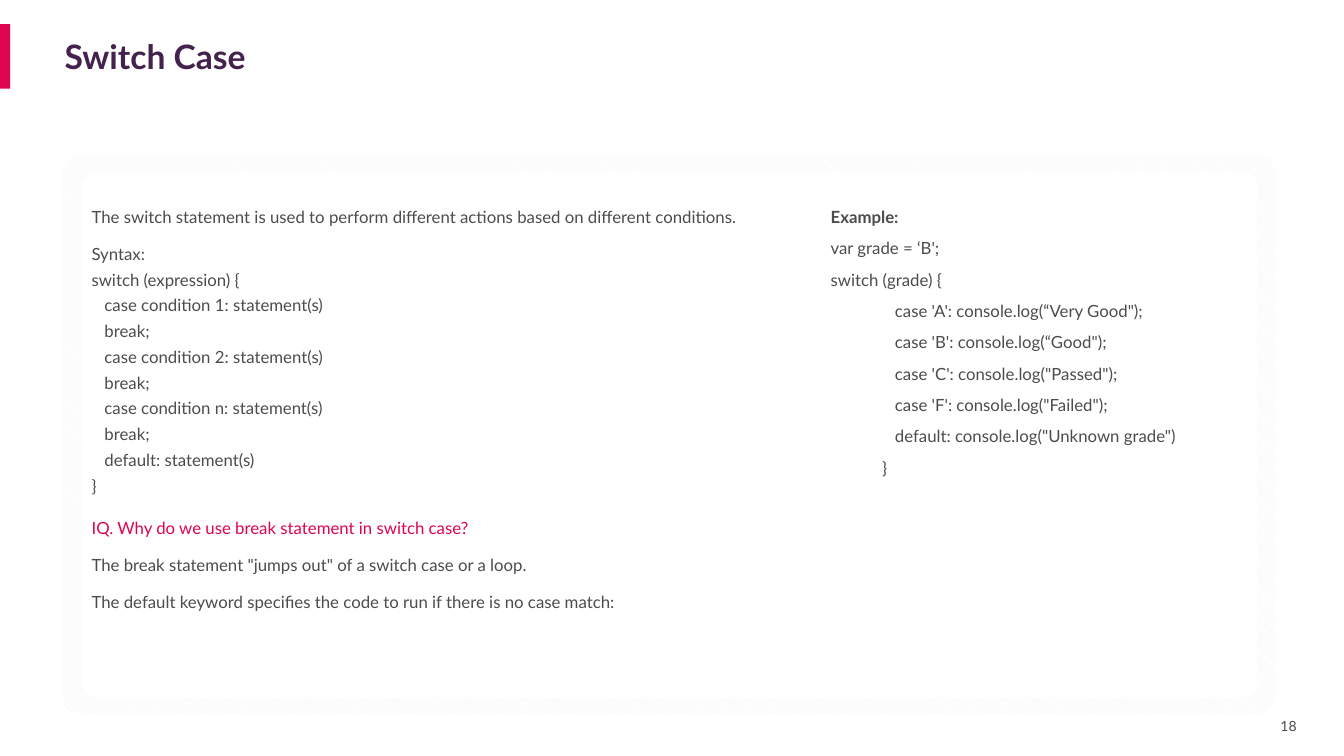
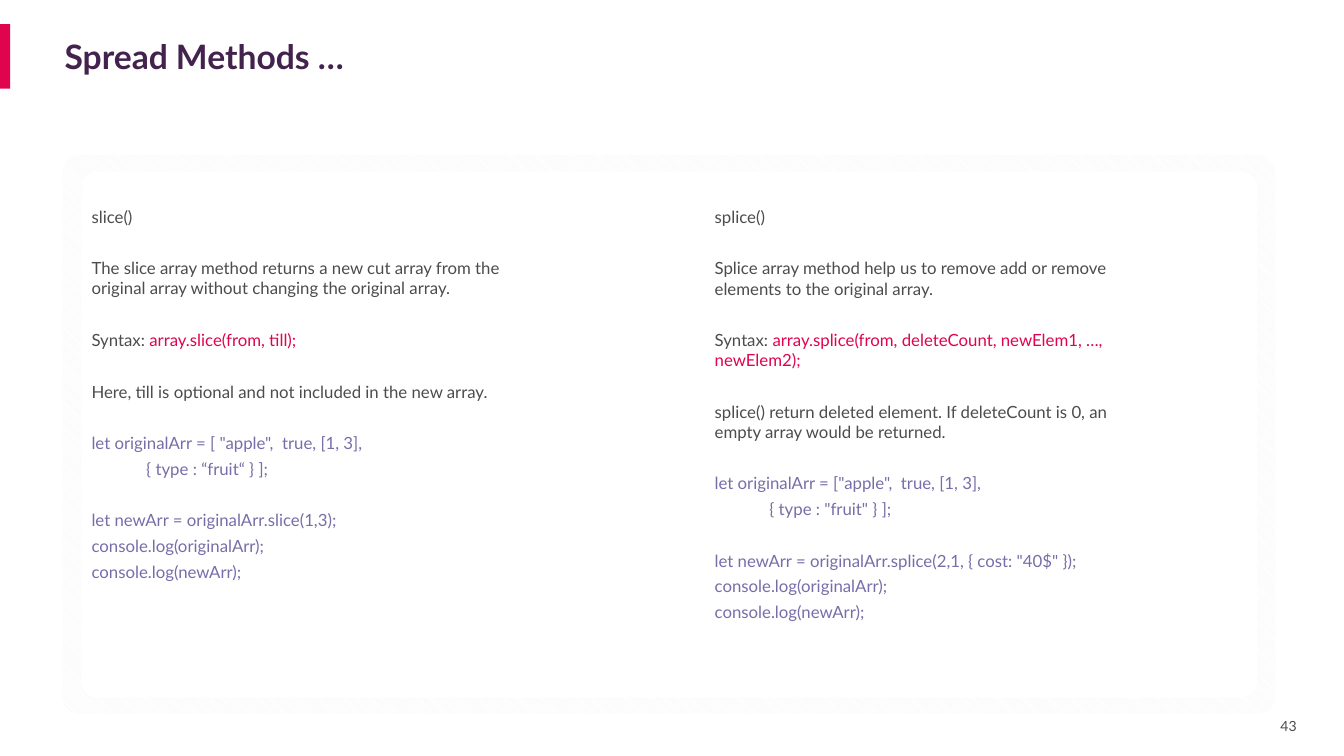
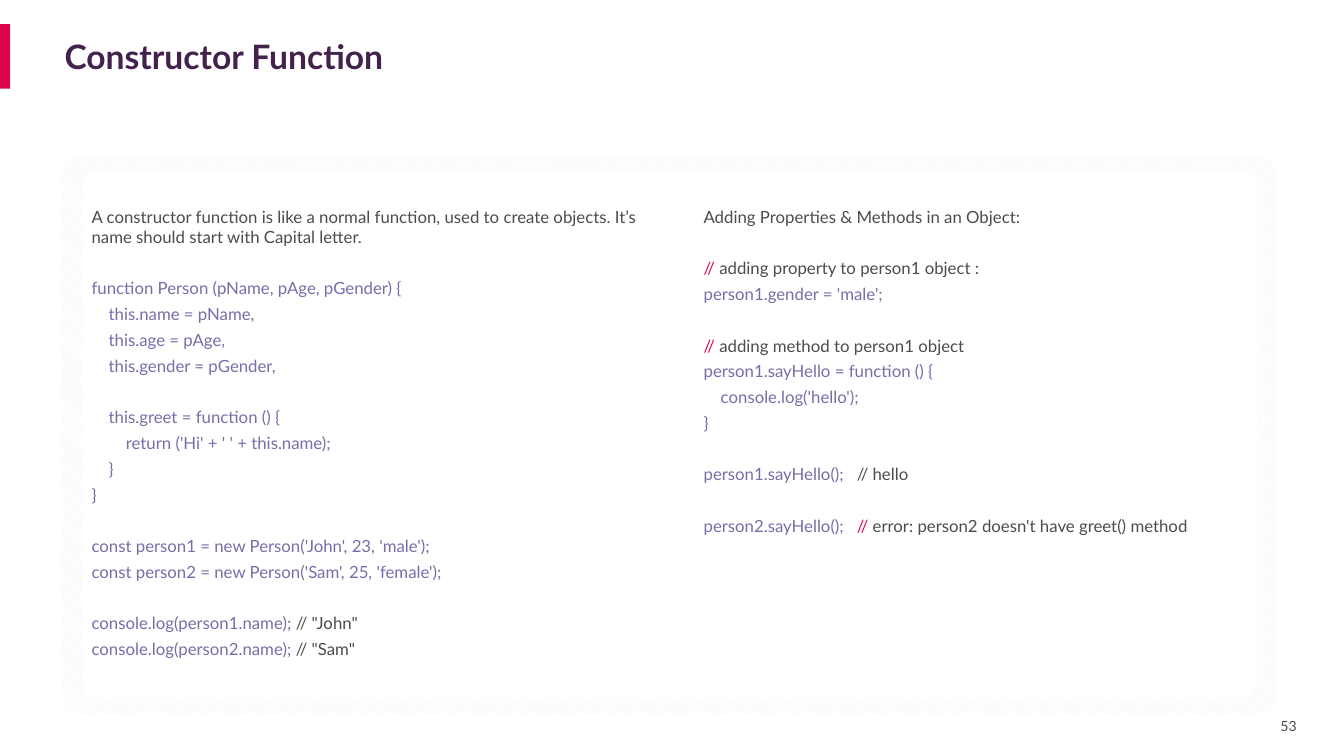
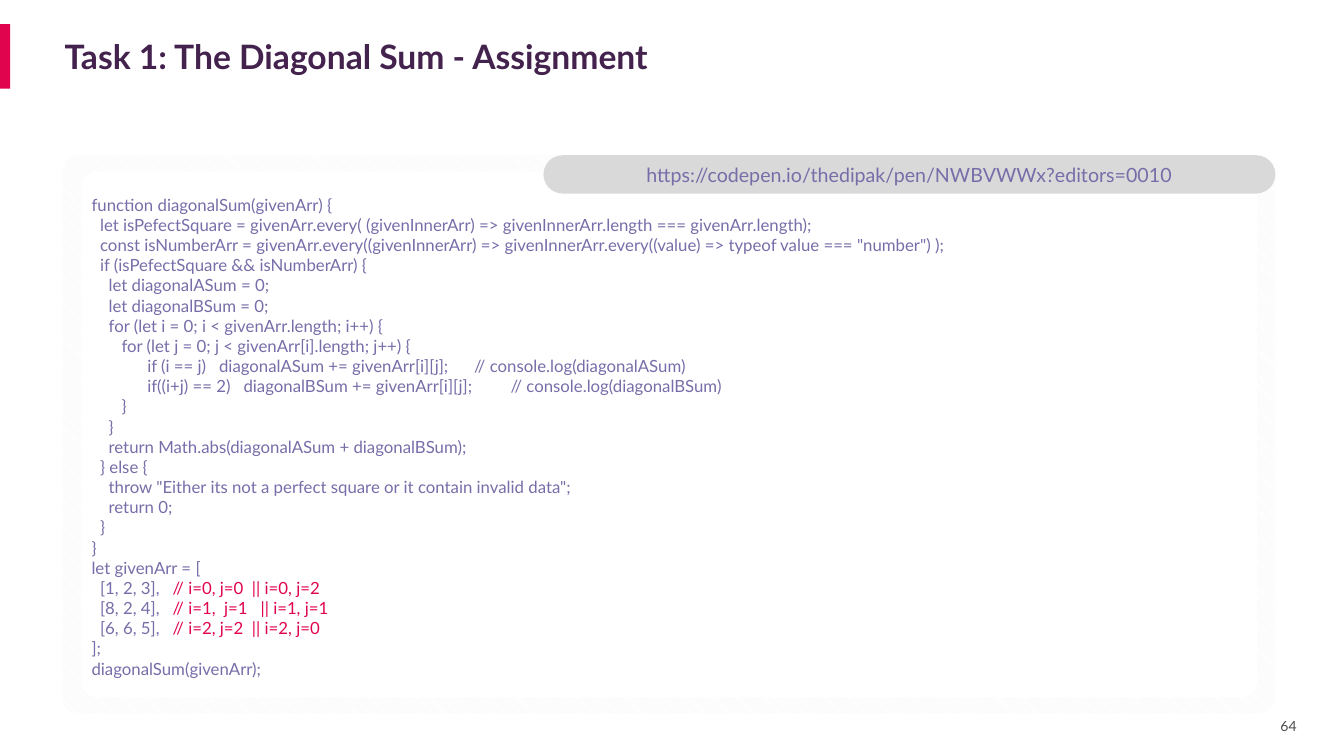
"""Build four JavaScript lesson slides with a shared title and panel style."""
from dataclasses import dataclass

from pptx import Presentation
from pptx.dml.color import RGBColor
from pptx.enum.dml import MSO_PATTERN
from pptx.enum.shapes import MSO_SHAPE
from pptx.enum.text import MSO_ANCHOR, MSO_AUTO_SIZE, PP_ALIGN
from pptx.util import Inches, Pt

RECTANGLE = MSO_SHAPE.RECTANGLE
ROUNDED = MSO_SHAPE.ROUNDED_RECTANGLE
DIAGONAL = MSO_PATTERN.LIGHT_DOWNWARD_DIAGONAL
MIDDLE = MSO_ANCHOR.MIDDLE
TOP = MSO_ANCHOR.TOP
LEFT = PP_ALIGN.LEFT
CENTER = PP_ALIGN.CENTER
GROW = MSO_AUTO_SIZE.SHAPE_TO_FIT_TEXT

FONT = "Lato"
COLORS = {
    "accent": "E0044E",
    "title": "43224D",
    "body": "4C4C4D",
    "code": "776EA9",
    "hatch": "F2F2F2",
    "panel": "FFFFFF",
    "pill": "D9D9D9",
}
LINE_GAP = 4
SECTION_GAP = 22.4


@dataclass
class Span:
    """A piece of a line with its own colour and weight."""
    text: str
    color: str = "body"
    bold: bool = False


@dataclass
class Block:
    """Lines in one default colour, with the gap above and between them."""
    lines: list
    color: str = "body"
    before: float = SECTION_GAP
    between: float = LINE_GAP


def rgb(name):
    """Return a palette colour."""
    return RGBColor.from_string(COLORS[name])


def add_span(para, span, size):
    """Append one formatted run to a paragraph."""
    run = para.add_run()
    run.text = span.text
    run.font.name = FONT
    run.font.size = Pt(size)
    run.font.bold = span.bold
    run.font.color.rgb = rgb(span.color)


def add_panel(page, at, fill, kind=ROUNDED, radius=0.03):
    """Draw a borderless flat shape."""
    panel = page.shapes.add_shape(kind, *map(Inches, at))
    panel.shadow.inherit = False
    panel.line.fill.background()
    panel.fill.solid()
    panel.fill.fore_color.rgb = rgb(fill)
    if kind == ROUNDED:
        panel.adjustments[0] = radius
    return panel


def write_label(shape, span, size, align=LEFT):
    """Write one vertically centred line in a shape."""
    frame = shape.text_frame
    frame.word_wrap = True
    frame.vertical_anchor = MIDDLE
    para = frame.paragraphs[0]
    para.alignment = align
    add_span(para, span, size)


def add_text(page, at, blocks, insets=(0.1, 0.05, 0.1, 0.05)):
    """Add a text box made of blocks of lines."""
    box = page.shapes.add_textbox(*map(Inches, at))
    frame = box.text_frame
    frame.word_wrap = True
    frame.auto_size = GROW
    frame.vertical_anchor = TOP
    (frame.margin_left, frame.margin_top,
     frame.margin_right, frame.margin_bottom) = map(Inches, insets)
    for block_index, block in enumerate(blocks):
        for line_index, line in enumerate(block.lines):
            if block_index == line_index == 0:
                para = frame.paragraphs[0]
            else:
                para = frame.add_paragraph()
                para.space_before = Pt(block.between if line_index else block.before)
            spans = [Span(line, block.color)] if isinstance(line, str) else line
            for span in spans:
                add_span(para, span, 12)


def add_page(deck, title, number):
    """Add a slide with accent bar, number, title and framed panel."""
    page = deck.slides.add_slide(deck.slide_layouts[6])
    add_panel(page, (0, 0.24, 0.1, 0.64), "accent", RECTANGLE)
    number_box = page.shapes.add_textbox(*map(Inches, (12.57, 7.08, 0.42, 0.25)))
    write_label(number_box, Span(str(number)), 10, CENTER)
    title_box = page.shapes.add_textbox(*map(Inches, (0.64, 0.24, 12.01, 0.64)))
    title_box.text_frame.margin_left = title_box.text_frame.margin_right = 0
    write_label(title_box, Span(title, "title", True), 24)
    frame = add_panel(page, (0.62, 1.54, 12.03, 5.54), "panel")
    frame.fill.patterned()
    frame.fill.pattern = DIAGONAL
    frame.fill.fore_color.rgb = rgb("hatch")
    frame.fill.back_color.rgb = rgb("panel")
    add_panel(page, (0.81, 1.7, 11.66, 5.22), "panel")
    return page


def build_switch(deck):
    """Build the switch case slide."""
    page = add_page(deck, "Switch Case", 18)
    add_text(page, (0.81, 2, 6.72, 4.16), [
        Block(["The switch statement is used to perform different actions based on different conditions."]),
        Block([
            "Syntax:",
            "switch (expression) {",
            "   case condition 1: statement(s)",
            "   break;",
            "   case condition 2: statement(s)",
            "   break;",
            "   case condition n: statement(s)",
            "   break;",
            "   default: statement(s)",
            "}",
        ], before=12),
        Block(["IQ. Why do we use break statement in switch case?"], "accent", before=16),
        Block([
            "The break statement \"jumps out\" of a switch case or a loop.",
            "The default keyword specifies the code to run if there is no case match:",
        ], before=12, between=12),
    ])
    add_text(page, (8.14, 2, 4.33, 2.82), [Block([
        [Span("Example:", bold=True)],
        "var grade = ‘B';",
        "switch (grade) {",
        "               case 'A': console.log(“Very Good\");",
        "               case 'B': console.log(“Good\");",
        "               case 'C': console.log(\"Passed\");",
        "               case 'F': console.log(\"Failed\");",
        "               default: console.log(\"Unknown grade\")",
        "            }",
    ], between=8)])


def method_blocks(name, summary, syntax, note, array_lines, call):
    """Return the description and sample code of an array method."""
    return [
        Block([name, summary, [Span("Syntax: "), Span(syntax, "accent")], note],
              between=SECTION_GAP),
        Block(array_lines, "code"),
        Block([call, "console.log(originalArr);", "console.log(newArr);"], "code"),
    ]


def build_spread(deck):
    """Build the slice and splice slide."""
    page = add_page(deck, "Spread Methods …", 43)
    add_text(page, (0.81, 2, 4.3, 3.86), method_blocks(
        "slice()",
        "The slice array method returns a new cut array from the original array without changing the original array.",
        "array.slice(from, till);",
        "Here, till is optional and not included in the new array.",
        ["let originalArr = [ \"apple\",  true, [1, 3],", "  \t { type : “fruit“ } ];"],
        "let newArr = originalArr.slice(1,3);",
    ))
    add_text(page, (6.99, 2, 4.3, 4.52), method_blocks(
        "splice()",
        "Splice array method help us to remove add or remove elements to the original array.",
        "array.splice(from, deleteCount, newElem1, …, newElem2);",
        "splice() return deleted element. If deleteCount is 0, an empty array would be returned.",
        ["let originalArr = [\"apple\",  true, [1, 3],", "  \t { type : \"fruit\" } ];"],
        "let newArr = originalArr.splice(2,1, { cost: \"40$\" });",
    ))


def build_constructor(deck):
    """Build the constructor function slide."""
    page = add_page(deck, "Constructor Function", 53)
    add_text(page, (0.81, 2, 5.65, 4.63), [
        Block(["A constructor function is like a normal function, used to create objects. "
               "It’s name should start with Capital letter."]),
        Block([
            "function Person (pName, pAge, pGender) {",
            "    this.name = pName,",
            "    this.age = pAge,",
            "    this.gender = pGender,",
        ], "code"),
        Block([
            "    this.greet = function () {",
            "        return ('Hi' + ' ' + this.name);",
            "    }",
            "}",
        ], "code"),
        Block([
            "const person1 = new Person('John', 23, 'male');",
            "const person2 = new Person('Sam', 25, 'female');",
        ], "code"),
        Block([
            [Span("console.log(person1.name); ", "code"), Span("// \"John\"")],
            [Span("console.log(person2.name); ", "code"), Span("// \"Sam\"")],
        ]),
    ])
    slashes = Span("//", "accent")
    add_text(page, (6.88, 2, 5.65, 3.4), [
        Block(["Adding Properties & Methods in an Object:"]),
        Block([
            [slashes, Span(" adding property to person1 object :")],
            "person1.gender = 'male';",
        ], "code"),
        Block([
            [slashes, Span(" adding method to person1 object")],
            "person1.sayHello = function () {",
            "    console.log('hello');",
            "}",
        ], "code"),
        Block([[Span("person1.sayHello();   ", "code"), Span("// hello")]]),
        Block([[Span("person2.sayHello();   ", "code"), slashes,
                Span(" error: person2 doesn't have greet() method")]]),
    ])


def build_diagonal(deck):
    """Build the diagonal sum assignment slide."""
    page = add_page(deck, "Task 1: The Diagonal Sum - Assignment", 64)
    matrix_rows = [
        ("  [1, 2, 3],   ", "// i=0, j=0  || i=0, j=2"),
        ("  [8, 2, 4],   ", "// i=1,  j=1   || i=1, j=1"),
        ("  [6, 6, 5],   ", "// i=2, j=2  || i=2, j=0"),
    ]
    add_text(page, (0.81, 1.93, 11.66, 4.95), [Block([
        "function diagonalSum(givenArr) {",
        "  let isPefectSquare = givenArr.every( (givenInnerArr) => givenInnerArr.length === givenArr.length);",
        "  const isNumberArr = givenArr.every((givenInnerArr) => "
        "givenInnerArr.every((value) => typeof value === \"number\") );",
        "  if (isPefectSquare && isNumberArr) {",
        "    let diagonalASum = 0;",
        "    let diagonalBSum = 0;",
        "    for (let i = 0; i < givenArr.length; i++) {",
        "       for (let j = 0; j < givenArr[i].length; j++) {",
        "             if (i == j)   diagonalASum += givenArr[i][j];      // console.log(diagonalASum)",
        "             if((i+j) == 2)   diagonalBSum += givenArr[i][j];         // console.log(diagonalBSum)",
        "       }",
        "    }",
        "    return Math.abs(diagonalASum + diagonalBSum);",
        "  } else {",
        "    throw \"Either its not a perfect square or it contain invalid data\";",
        "    return 0;",
        "  }",
        "}",
        "let givenArr = [",
        *[[Span(row, "code"), Span(remark, "accent")] for row, remark in matrix_rows],
        "];",
        "diagonalSum(givenArr);",
    ], "code", between=0)], insets=(0.1, 0, 0, 0))
    pill = add_panel(page, (5.39, 1.54, 7.26, 0.38), "pill", radius=0.5)
    write_label(pill, Span("https://codepen.io/thedipak/pen/NWBVWWx?editors=0010", "code"), 14, CENTER)


def main():
    """Build and save the deck."""
    deck = Presentation()
    deck.slide_width = Inches(13.33)
    deck.slide_height = Inches(7.5)
    build_switch(deck)
    build_spread(deck)
    build_constructor(deck)
    build_diagonal(deck)
    deck.save("out.pptx")


if __name__ == "__main__":
    main()
